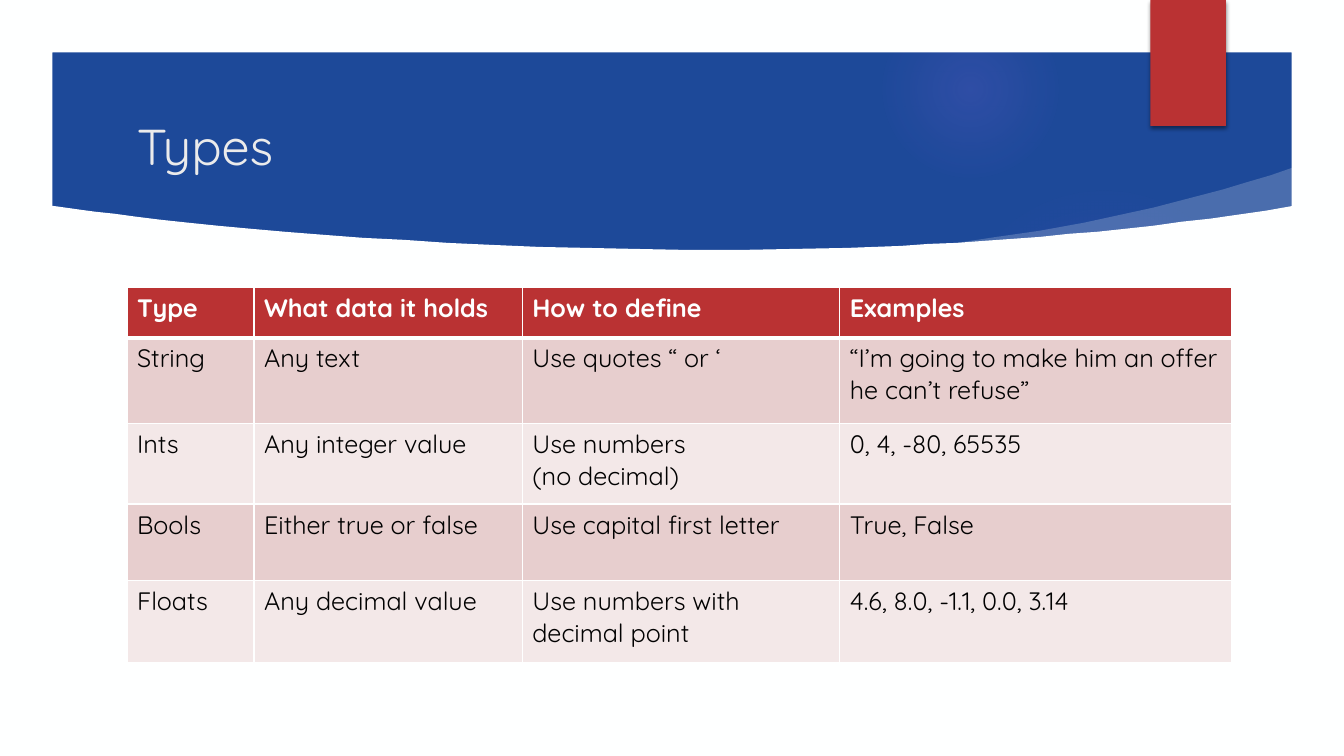
"""Build the slide that compares four data types."""
from dataclasses import dataclass

from lxml.etree import SubElement
from pptx import Presentation
from pptx.dml.color import RGBColor
from pptx.enum.shapes import MSO_SHAPE
from pptx.enum.text import MSO_ANCHOR
from pptx.oxml import parse_xml
from pptx.oxml.ns import nsdecls, qn
from pptx.util import Inches, Pt

COLORS = {
    "paper": "FEFFFF",
    "banner": "1D4999",
    "glow": "9B6BF2",
    "accent": "BA3233",
    "title": "EBEBEB",
    "ink": "010101",
    "band_dark": "E7CECE",
    "band_light": "F3E8E8",
    "shadow": "000000",
}
FONT = "Quicksand"
WIDTH, HEIGHT = 13.33, 7.5
Points = list[tuple[float, float]]
SHEET = [
    (0.5, 2.04), (0.5, 7), (12.84, 7),
    (12.84, 2.04), (12.56, 2.09), (12.28, 2.13), (12, 2.17), (11.72, 2.2),
    (11.44, 2.24), (11.16, 2.27), (10.88, 2.3), (10.6, 2.32), (10.32, 2.35),
    (10.04, 2.37), (9.76, 2.39), (9.49, 2.41), (9.21, 2.42), (8.94, 2.44),
    (8.4, 2.46), (7.86, 2.47), (7.34, 2.48), (6.82, 2.48), (6.32, 2.47),
    (5.83, 2.46), (5.35, 2.45), (4.88, 2.43), (4.44, 2.41), (4.01, 2.38),
    (3.6, 2.36), (3.21, 2.33), (2.83, 2.3), (2.49, 2.27), (2.16, 2.24),
    (1.87, 2.21), (1.59, 2.18), (1.35, 2.15), (1.13, 2.12), (0.94, 2.1),
    (0.79, 2.08), (0.58, 2.05),
]
SWOOSH = [
    (12.89, 2.14), (12.83, 1.66), (12.6, 1.74), (12.36, 1.81), (12.13, 1.88),
    (11.9, 1.94), (11.67, 2), (11.44, 2.06), (11.21, 2.11), (10.98, 2.16),
    (10.75, 2.21), (10.53, 2.25), (10.31, 2.29), (10.1, 2.32), (9.89, 2.35),
    (9.69, 2.38), (9.49, 2.41), (9.3, 2.43), (9.34, 2.5), (10.6, 2.44),
    (11.8, 2.3),
]
SLIDE_EDGE = [(0, 0), (0, HEIGHT), (WIDTH, HEIGHT), (WIDTH, 0)]
FRAME_OPENING = [(12.81, 6.98), (12.81, 0.52), (0.52, 0.52), (0.52, 6.98)]


@dataclass
class Glow:
    left: float
    top: float
    diameter: float
    core: int
    middle: int
    fade: int


@dataclass
class Column:
    heading: str
    width: float


@dataclass
class TypeRow:
    cells: tuple[str, ...]
    height: float


GLOWS = [
    Glow(0, 2.92, 4.58, 11, 10, 75),
    Glow(0, 3.17, 2.58, 8, 8, 72),
    Glow(9.41, 6.42, 1.08, 14, 7, 66),
    Glow(9.41, 1.83, 3.08, 7, 6, 69),
    Glow(8.75, 0.01, 1.75, 14, 7, 73),
]
COLUMNS = [
    Column("Type", 1.26),
    Column("What data it holds", 2.66),
    Column("How to define", 3.15),
    Column("Examples", 3.89),
]
HEADER = TypeRow(tuple(column.heading for column in COLUMNS), 0.5)
TYPES = [
    TypeRow(("String", "Any text", "Use quotes “ or ‘",
             "“I’m going to make him an offer he can’t refuse”"), 0.85),
    TypeRow(("Ints", "Any integer value", "Use numbers\n(no decimal)",
             "0, 4, -80, 65535"), 0.8),
    TypeRow(("Bools", "Either true or false", "Use capital first letter",
             "True, False"), 0.76),
    TypeRow(("Floats", "Any decimal value", "Use numbers with decimal point",
             "4.6, 8.0, -1.1, 0.0, 3.14"), 0.81),
]


def rgb(name: str) -> RGBColor:
    return RGBColor.from_string(COLORS[name])


def write(frame, text: str, *, size: float, color: str, bold: bool = False) -> None:
    frame.word_wrap = True
    frame.text = text
    for paragraph in frame.paragraphs:
        font = paragraph.runs[0].font
        font.name, font.size, font.bold = FONT, Pt(size), bold
        font.color.rgb = rgb(color)


def paint(shape, color: str, alpha: int = 100) -> None:
    shape.shadow.inherit = False
    shape.line.fill.background()
    shape.fill.solid()
    shape.fill.fore_color.rgb = rgb(color)
    if alpha < 100:
        tint = shape.fill._xPr.find(".//" + qn("a:srgbClr"))
        SubElement(tint, qn("a:alpha"), val=str(alpha * 1000))


def add_block(slide, kind: MSO_SHAPE, box: tuple[float, ...], color: str):
    block = slide.shapes.add_shape(kind, *map(Inches, box))
    paint(block, color)
    return block


def add_outline(slide, *contours: Points, color: str, alpha: int = 100) -> None:
    first, *others = [[(Inches(x), Inches(y)) for x, y in points] for points in contours]
    builder = slide.shapes.build_freeform(*first[0])
    builder.add_line_segments(first[1:])
    for contour in others:
        builder.move_to(*contour[0])
        builder.add_line_segments(contour[1:])
    paint(builder.convert_to_shape(), color, alpha)


def add_glow(slide, glow: Glow) -> None:
    box = (glow.left, glow.top, glow.diameter, glow.diameter)
    properties = add_block(slide, MSO_SHAPE.OVAL, box, "glow")._element.spPr
    colors = "".join(
        f'<a:gs pos="{place * 1000}"><a:srgbClr val="{COLORS["glow"]}">'
        f'<a:alpha val="{alpha * 1000}"/></a:srgbClr></a:gs>'
        for place, alpha in [(0, glow.core), (36, glow.middle), (glow.fade, 0)]
    )
    gradient = parse_xml(
        f'<a:gradFill {nsdecls("a")}><a:gsLst>{colors}</a:gsLst><a:path path="circle">'
        '<a:fillToRect l="50000" t="50000" r="50000" b="50000"/></a:path></a:gradFill>'
    )
    properties.replace(properties.find(qn("a:solidFill")), gradient)


def add_ribbon(slide) -> None:
    ribbon = add_block(slide, MSO_SHAPE.RECTANGLE, (11.41, 0, 0.75, 1.25), "accent")
    effects = ribbon._element.spPr.find(qn("a:effectLst"))
    drop = SubElement(effects, qn("a:outerShdw"), blurRad=str(Pt(3)), dist=str(Pt(2)),
                      dir="5400000", algn="t", rotWithShape="0")
    tint = SubElement(drop, qn("a:srgbClr"), val=COLORS["shadow"])
    SubElement(tint, qn("a:alpha"), val="45000")


def set_borders(cell, **widths: float) -> None:
    properties = cell._tc.get_or_add_tcPr()
    for place, (side, width) in enumerate(widths.items()):
        properties.insert(place, parse_xml(
            f'<a:ln{side} {nsdecls("a")} w="{Pt(width)}"><a:solidFill>'
            f'<a:srgbClr val="{COLORS["paper"]}"/></a:solidFill></a:ln{side}>'
        ))


def add_types_table(slide) -> None:
    rows = [HEADER, *TYPES]
    size = sum(column.width for column in COLUMNS), sum(row.height for row in rows)
    table = slide.shapes.add_table(
        len(rows), len(COLUMNS), *map(Inches, (1.26, 2.85, *size))).table
    for index, column in enumerate(COLUMNS):
        table.columns[index].width = Inches(column.width)
    for index, row in enumerate(rows):
        table.rows[index].height = Inches(row.height)
        is_header = index == 0
        band = "accent" if is_header else "band_dark" if index % 2 else "band_light"
        for position, text in enumerate(row.cells):
            cell = table.cell(index, position)
            cell.fill.solid()
            cell.fill.fore_color.rgb = rgb(band)
            set_borders(cell, L=1, R=1, T=3 if index == 1 else 1, B=3 if is_header else 1)
            write(cell.text_frame, text, size=18, bold=is_header,
                  color="paper" if is_header else "ink")


def main() -> None:
    deck = Presentation()
    deck.slide_width, deck.slide_height = Inches(WIDTH), Inches(HEIGHT)
    slide = deck.slides.add_slide(deck.slide_layouts[6])
    slide.background.fill.solid()
    slide.background.fill.fore_color.rgb = rgb("paper")
    add_block(slide, MSO_SHAPE.RECTANGLE, (0, 0, WIDTH, HEIGHT), "banner")
    for glow in GLOWS:
        add_glow(slide, glow)
    add_outline(slide, SWOOSH, color="paper", alpha=20)
    add_outline(slide, SHEET, color="paper")
    add_outline(slide, SLIDE_EDGE, FRAME_OPENING, color="paper")
    add_ribbon(slide)
    title = slide.shapes.add_textbox(*map(Inches, (1.26, 1.06, 9.58, 0.77))).text_frame
    title.vertical_anchor = MSO_ANCHOR.MIDDLE
    write(title, "Types", size=36, color="title")
    add_types_table(slide)
    deck.save("out.pptx")


if __name__ == "__main__":
    main()
